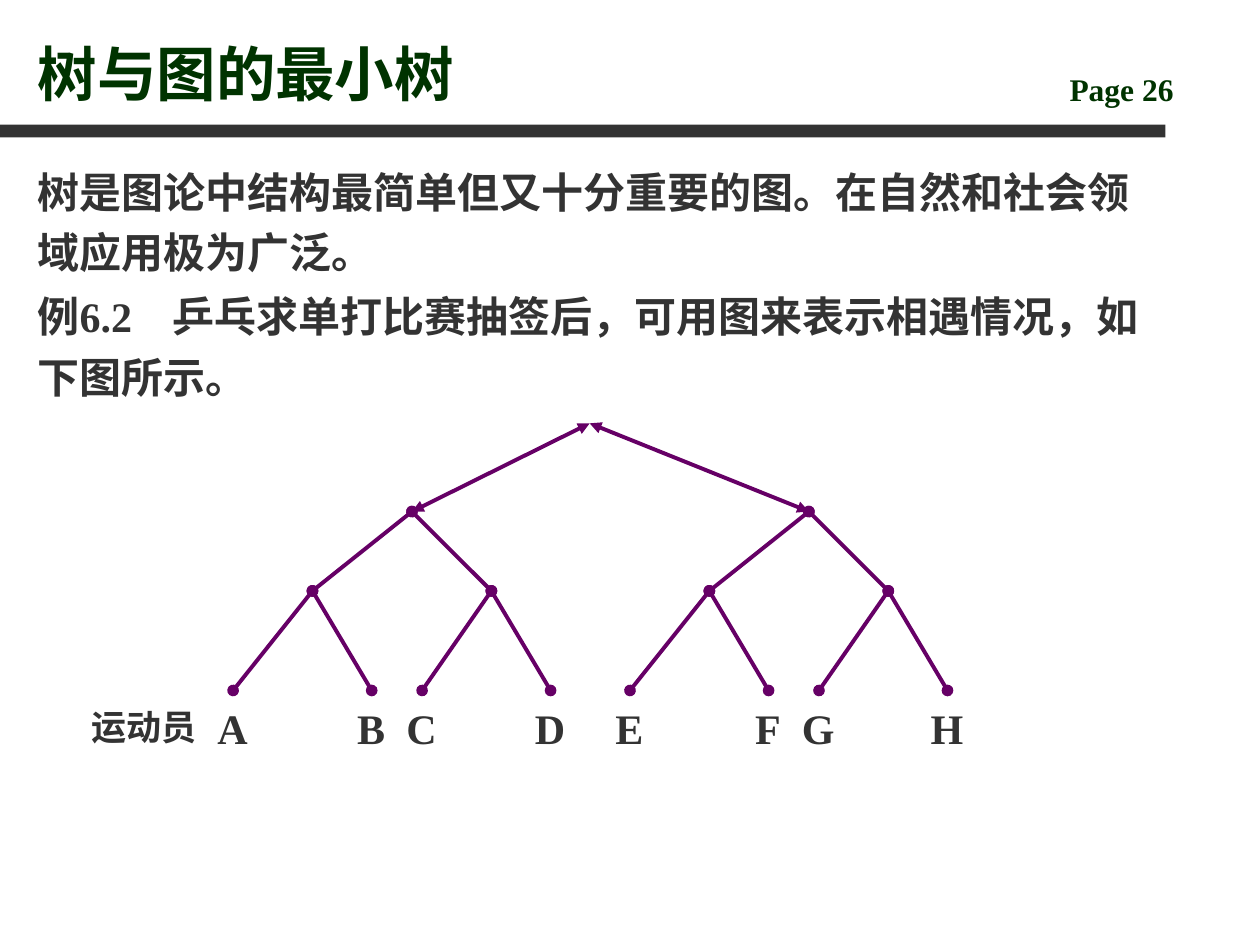
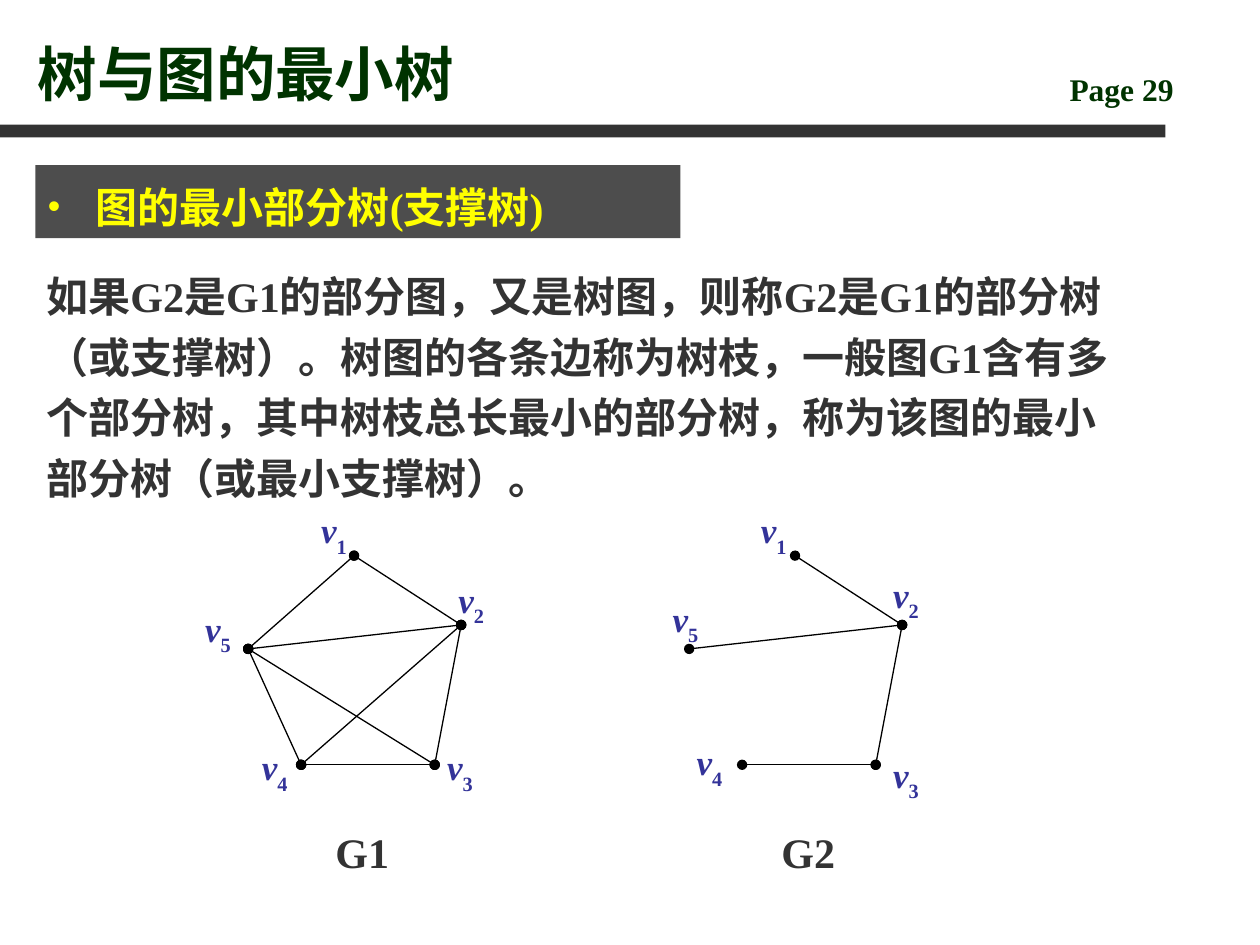
"""Build two slides on trees and minimum spanning trees of graphs."""
from dataclasses import dataclass

from lxml import etree
from pptx import Presentation
from pptx.dml.color import RGBColor
from pptx.enum.shapes import MSO_CONNECTOR, MSO_SHAPE
from pptx.enum.text import MSO_ANCHOR, MSO_AUTO_SIZE, PP_ALIGN
from pptx.oxml.ns import qn
from pptx.util import Inches, Pt

LEFT, CENTER = PP_ALIGN.LEFT, PP_ALIGN.CENTER
TOP, BOTTOM = MSO_ANCHOR.TOP, MSO_ANCHOR.BOTTOM
NO_AUTOFIT = MSO_AUTO_SIZE.NONE
STRAIGHT = MSO_CONNECTOR.STRAIGHT
RECTANGLE = MSO_SHAPE.RECTANGLE

FONT = "Times New Roman"
GREEN = RGBColor(0x00, 0x33, 0x00)
DARK = RGBColor(0x33, 0x33, 0x33)
GRAY = RGBColor(0x4D, 0x4D, 0x4D)
YELLOW = RGBColor(0xFF, 0xFF, 0x00)
PURPLE = RGBColor(0x66, 0x00, 0x66)
BLUE = RGBColor(0x33, 0x33, 0x99)
BLACK = RGBColor(0x00, 0x00, 0x00)

TITLE = "树与图的最小树"
TITLE_ONLY, TITLE_AND_BODY = 5, 1

Point = tuple[float, float]


@dataclass(frozen=True)
class Label:
    """A text box with its place in inches and its text style."""

    text: str
    left: float
    top: float
    width: float
    height: float
    size: int = 24
    color: RGBColor = DARK
    align: PP_ALIGN = LEFT
    spacing: float = 1.2
    tab: float | None = None


@dataclass(frozen=True)
class Pen:
    """The look of an edge."""

    color: RGBColor
    width: float
    ends: str


@dataclass(frozen=True)
class Graph:
    """A drawn graph: caption, shift to the right, edges and label corners."""

    caption: Label
    shift: float
    edges: tuple[tuple[int, int], ...]
    labels: dict[int, Point]


ARROWS = Pen(PURPLE, 2.25, "triangle")
BRANCH = Pen(PURPLE, 2.25, "oval")
THIN = Pen(BLACK, 0.75, "oval")

APEX = (4.68, 3.36)
HALF_SHIFT = 3.15
SEMIFINAL = (3.27, 4.06)
MATCHES = {
    (2.48, 4.69): ((1.85, 5.48), (2.95, 5.48)),
    (3.9, 4.69): ((3.35, 5.48), (4.37, 5.48)),
}
HALVES = ((0, "ABCD"), (HALF_SHIFT, "EFGH"))

VERTICES = {1: (2.81, 4.41), 2: (3.66, 4.96), 3: (3.45, 6.07),
            4: (2.39, 6.07), 5: (1.97, 5.15)}
GRAPHS = (
    Graph(Label("G1", 1.85, 6.43, 2.05, 0.58, align=CENTER), 0,
          ((1, 5), (5, 4), (4, 3), (1, 2), (2, 3), (5, 2), (5, 3), (4, 2)),
          {1: (2.45, 3.99), 2: (3.54, 4.54), 3: (3.45, 5.87),
           4: (1.98, 5.87), 5: (1.53, 4.77)}),
    Graph(Label("G2", 5.39, 6.43, 2.05, 0.58, align=CENTER), 3.5,
          ((4, 3), (1, 2), (2, 3), (5, 2)),
          {1: (5.94, 3.99), 2: (6.99, 4.5), 3: (6.99, 5.93),
           4: (5.43, 5.83), 5: (5.24, 4.69)}),
)


def place(shape, left: float, top: float, width: float, height: float) -> None:
    """Move and size a shape, in inches."""
    shape.left, shape.top = Inches(left), Inches(top)
    shape.width, shape.height = Inches(width), Inches(height)


def style_runs(p, size: int, color: RGBColor) -> None:
    """Give every run of a paragraph the deck's bold font."""
    for r in p.runs:
        r.font.name, r.font.size, r.font.bold = FONT, Pt(size), True
        r.font.color.rgb = color


def set_text(tf, text: str, size: int, color: RGBColor,
             anchor: MSO_ANCHOR = TOP):
    """Fill a text frame with one left-aligned paragraph and return it."""
    tf.text = text
    tf.word_wrap, tf.auto_size, tf.vertical_anchor = True, NO_AUTOFIT, anchor
    p = tf.paragraphs[0]
    p.alignment, p.space_before = LEFT, Pt(0)
    style_runs(p, size, color)
    return p


def add_label(shapes, label: Label):
    """Draw a label and return its paragraph."""
    box = shapes.add_textbox(Inches(label.left), Inches(label.top),
                             Inches(label.width), Inches(label.height))
    p = set_text(box.text_frame, label.text, label.size, label.color)
    p.alignment, p.line_spacing = label.align, label.spacing
    if label.tab:
        tabs = etree.SubElement(p._p.get_or_add_pPr(), qn("a:tabLst"))
        etree.SubElement(tabs, qn("a:tab"), pos=str(Inches(label.tab)), algn="l")
    return p


def add_vertex_label(shapes, number: int, corner: Point) -> None:
    """Draw an italic v with its number as subscript."""
    p = add_label(shapes, Label("v", *corner, 0.64, 0.55, 20, BLUE, spacing=1))
    r = p.add_run()
    r.text = str(number)
    style_runs(p, 20, BLUE)
    p.runs[0].font.italic = True
    r._r.get_or_add_rPr().set("baseline", "-30000")


def add_edge(shapes, start: Point, end: Point, pen: Pen) -> None:
    """Draw a straight edge with the same mark at both ends."""
    edge = shapes.add_connector(STRAIGHT, *map(Inches, start + end))
    edge.line.color.rgb = pen.color
    edge.line.width = Pt(pen.width)
    ln = edge.line._get_or_add_ln()
    for tag in ("a:headEnd", "a:tailEnd"):
        etree.SubElement(ln, qn(tag), type=pen.ends)
    etree.SubElement(edge._element.spPr, qn("a:effectLst"))


def shifted(point: Point, dx: float) -> Point:
    """Return the point moved to the right."""
    return point[0] + dx, point[1]


def add_base_slide(prs, layout: int, page: int):
    """Add a slide with the shared title, band and page number."""
    s = prs.slides.add_slide(prs.slide_layouts[layout])
    band = s.shapes.add_shape(RECTANGLE, 0, Inches(0.99), Inches(9.25), Inches(0.1))
    band.shadow.inherit = False
    band.fill.solid()
    band.fill.fore_color.rgb = DARK
    band.line.fill.background()
    add_label(s.shapes, Label(f"Page {page}", 8.39, 0.51, 1.42, 0.4, 18, GREEN,
                              spacing=1))
    place(s.shapes.title, 0.2, 0.13, 8.03, 0.78)
    set_text(s.shapes.title.text_frame, TITLE, 34, GREEN, BOTTOM)
    return s


def add_heading(body, text: str) -> None:
    """Turn the body placeholder into a gray heading with a bullet."""
    place(body, 0.28, 1.31, 5.12, 0.58)
    body.fill.solid()
    body.fill.fore_color.rgb = GRAY
    p = set_text(body.text_frame, text, 24, YELLOW)
    pPr = p._p.get_or_add_pPr()
    pPr.set("marL", str(Inches(0.38)))
    pPr.set("indent", str(-Inches(0.38)))
    color = etree.SubElement(pPr, qn("a:buClr"))
    etree.SubElement(color, qn("a:srgbClr"), val=str(YELLOW))
    etree.SubElement(pPr, qn("a:buSzPct"), val="85000")
    etree.SubElement(pPr, qn("a:buChar"), char="•")
    p.line_spacing = 1.2


def build_tournament(prs) -> None:
    """Build the slide with the knockout tree."""
    s = add_base_slide(prs, TITLE_ONLY, 26)
    add_label(s.shapes, Label(
        "树是图论中结构最简单但又十分重要的图。在自然和社会领域应用极为广泛。",
        0.2, 1.19, 8.98, 1.06))
    add_label(s.shapes, Label(
        "例6.2\t乒乓求单打比赛抽签后，可用图来表示相遇情况，如下图所示。",
        0.2, 2.18, 9.02, 1.06, tab=1.07))
    tree = s.shapes.add_group_shape().shapes
    for dx, players in HALVES:
        semifinal = shifted(SEMIFINAL, dx)
        add_edge(tree, APEX, semifinal, ARROWS)
        names = iter(players)
        for match, leaves in MATCHES.items():
            add_edge(tree, semifinal, shifted(match, dx), BRANCH)
            for leaf in leaves:
                x, y = shifted(leaf, dx)
                add_edge(tree, shifted(match, dx), (x, y), BRANCH)
                add_label(tree, Label(next(names), x - 0.32, 5.45, 0.63, 0.58,
                                      align=CENTER))
    add_label(s.shapes, Label("运动员", 0.43, 5.48, 1.42, 0.5, 20, align=CENTER))


def build_spanning_tree(prs) -> None:
    """Build the slide with a graph and its spanning tree."""
    s = add_base_slide(prs, TITLE_AND_BODY, 29)
    add_heading(s.placeholders[1], "图的最小部分树(支撑树)")
    add_label(s.shapes, Label(
        "如果G2是G1的部分图，又是树图，则称G2是G1的部分树（或支撑树）。"
        "树图的各条边称为树枝，一般图G1含有多个部分树，其中树枝总长最小的部分树，"
        "称为该图的最小部分树（或最小支撑树）。", 0.27, 2.02, 8.82, 2.02))
    for graph in GRAPHS:
        group = s.shapes.add_group_shape().shapes
        for a, b in graph.edges:
            add_edge(group, shifted(VERTICES[a], graph.shift),
                     shifted(VERTICES[b], graph.shift), THIN)
        for number, corner in graph.labels.items():
            add_vertex_label(group, number, corner)
        add_label(s.shapes, graph.caption)


def main() -> None:
    """Build and save the deck."""
    prs = Presentation()
    prs.slide_width, prs.slide_height = Inches(10), Inches(7.5)
    build_tournament(prs)
    build_spanning_tree(prs)
    prs.save("out.pptx")


if __name__ == "__main__":
    main()
